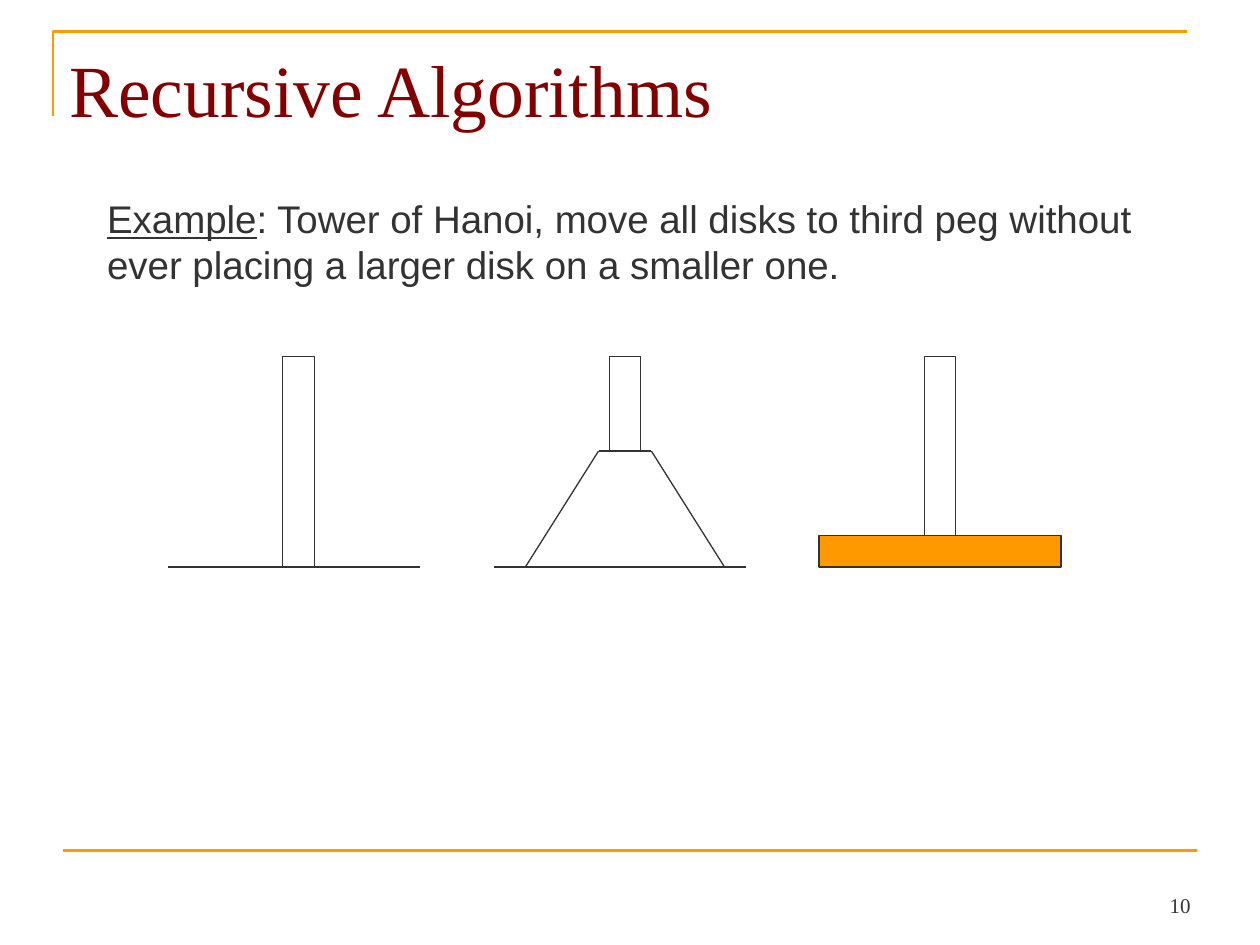
from dataclasses import dataclass

from lxml.etree import SubElement
from pptx import Presentation
from pptx.dml.color import RGBColor
from pptx.enum.shapes import MSO_CONNECTOR, MSO_SHAPE
from pptx.enum.text import MSO_ANCHOR, MSO_AUTO_SIZE, PP_ALIGN
from pptx.oxml.ns import qn
from pptx.util import Inches, Pt


@dataclass(frozen=True)
class Theme:
    accent: RGBColor = RGBColor(0xFF, 0x99, 0x00)
    title: RGBColor = RGBColor(0x82, 0x00, 0x00)
    ink: RGBColor = RGBColor(0x33, 0x33, 0x33)
    paper: RGBColor = RGBColor(0xFF, 0xFF, 0xFF)
    serif: str = "Times New Roman"
    sans: str = "Arial"
    title_size: Pt = Pt(42)
    body_size: Pt = Pt(22)
    number_size: Pt = Pt(12)
    frame_width: Pt = Pt(1.5)
    drawing_width: Pt = Pt(0.75)


THEME = Theme()
GROUND = 4.5
PEG_TOP = 2.83
PEG_WIDTH = 0.25
DISK_HEIGHT = 0.25


def set_attributes(target, values):
    for name, value in values.items():
        setattr(target, name, value)


def format_frame(frame, **values):
    margins = ("margin_left", "margin_top", "margin_right", "margin_bottom")
    set_attributes(frame, dict.fromkeys(margins, Inches(0.05)))
    set_attributes(frame, {"auto_size": MSO_AUTO_SIZE.NONE, "word_wrap": True,
                           "vertical_anchor": MSO_ANCHOR.TOP, **values})


def add_run(paragraph, text, font_name, size, color, underline=None):
    run = paragraph.add_run()
    run.text = text
    set_attributes(run.font, {"name": font_name, "size": size, "underline": underline})
    run.font.color.rgb = color


def set_line(line, color, width):
    line.color.rgb = color
    line.width = width


def add_line(slide, start, end, color=THEME.ink, width=THEME.drawing_width):
    points = [Inches(value) for value in (*start, *end)]
    connector = slide.shapes.add_connector(MSO_CONNECTOR.STRAIGHT, *points)
    set_line(connector.line, color, width)
    SubElement(connector._element.spPr, qn("a:effectLst"))


def add_box(slide, left, top, width, height, color):
    box = slide.shapes.add_shape(
        MSO_SHAPE.RECTANGLE, *map(Inches, (left, top, width, height)))
    box.shadow.inherit = False
    box.fill.solid()
    box.fill.fore_color.rgb = color
    set_line(box.line, THEME.ink, THEME.drawing_width)


def add_peg(slide, center, bottom):
    add_box(slide, center - PEG_WIDTH / 2, PEG_TOP, PEG_WIDTH, bottom - PEG_TOP, THEME.paper)


def add_base(slide, center):
    add_line(slide, (center - 1, GROUND), (center + 1, GROUND))


def add_cone(slide, center, top):
    """Draw the slopes and top edge of the covered stack of disks."""
    for side in (-1, 1):
        add_line(slide, (center + side * 0.79, GROUND), (center + side * 0.21, top))
    add_line(slide, (center - 0.21, top), (center + 0.21, top))


def add_frame_lines(slide):
    builder = slide.shapes.build_freeform(Inches(0.42), Inches(0.92))
    builder.add_line_segments(
        [(Inches(0.42), Inches(0.25)), (Inches(9.42), Inches(0.25))], close=False)
    corner = builder.convert_to_shape()
    corner.shadow.inherit = False
    corner.fill.background()
    set_line(corner.line, THEME.accent, THEME.frame_width)
    add_line(slide, (0.5, 6.75), (9.5, 6.75), THEME.accent, THEME.frame_width)


def add_title(slide, text):
    title = slide.shapes.title
    set_attributes(title, {"left": Inches(0.5), "top": Inches(0.3),
                           "width": Inches(9), "height": Inches(1.03)})
    format_frame(title.text_frame)
    paragraph = title.text_frame.paragraphs[0]
    paragraph.alignment = PP_ALIGN.LEFT
    add_run(paragraph, text, THEME.serif, THEME.title_size, THEME.title)


def add_text_box(slide, left, top, width, height, **frame_values):
    box = slide.shapes.add_textbox(*map(Inches, (left, top, width, height)))
    format_frame(box.text_frame, **frame_values)
    return box.text_frame.paragraphs[0]


def add_example(slide):
    paragraph = add_text_box(slide, 0.42, 1.5, 9.08, 1)
    paragraph.space_before = Pt(5)
    paragraph._p.get_or_add_pPr().set("marL", str(Inches(0.38)))
    style = (THEME.sans, THEME.body_size, THEME.ink)
    add_run(paragraph, "Example", *style, underline=True)
    add_run(paragraph, ": Tower of Hanoi, move all disks to third peg without "
            "ever placing a larger disk on a smaller one.", *style)


def add_page_number(slide, number):
    paragraph = add_text_box(slide, 9.23, 7.05, 0.27, 0.28,
                             word_wrap=False, vertical_anchor=MSO_ANCHOR.BOTTOM)
    paragraph.alignment = PP_ALIGN.RIGHT
    add_run(paragraph, number, THEME.serif, THEME.number_size, THEME.ink)


def add_towers(slide):
    left_peg, middle_peg, right_peg = 2.37, 4.96, 7.46
    cone_top = 3.58
    disk_top = GROUND - DISK_HEIGHT
    disk_width = 1.92
    add_box(slide, right_peg - disk_width / 2, disk_top, disk_width, DISK_HEIGHT, THEME.accent)
    add_cone(slide, middle_peg, cone_top)
    for center, bottom in ((left_peg, GROUND), (middle_peg, cone_top), (right_peg, disk_top)):
        add_peg(slide, center, bottom)
    for center in (left_peg - 0.04, middle_peg - 0.04):
        add_base(slide, center)


def main():
    presentation = Presentation()
    set_attributes(presentation, {"slide_width": Inches(10), "slide_height": Inches(7.5)})
    slide = presentation.slides.add_slide(presentation.slide_layouts.get_by_name("Title Only"))
    add_frame_lines(slide)
    add_page_number(slide, "10")
    add_title(slide, "Recursive Algorithms")
    add_example(slide)
    add_towers(slide)
    presentation.save("out.pptx")


if __name__ == "__main__":
    main()
